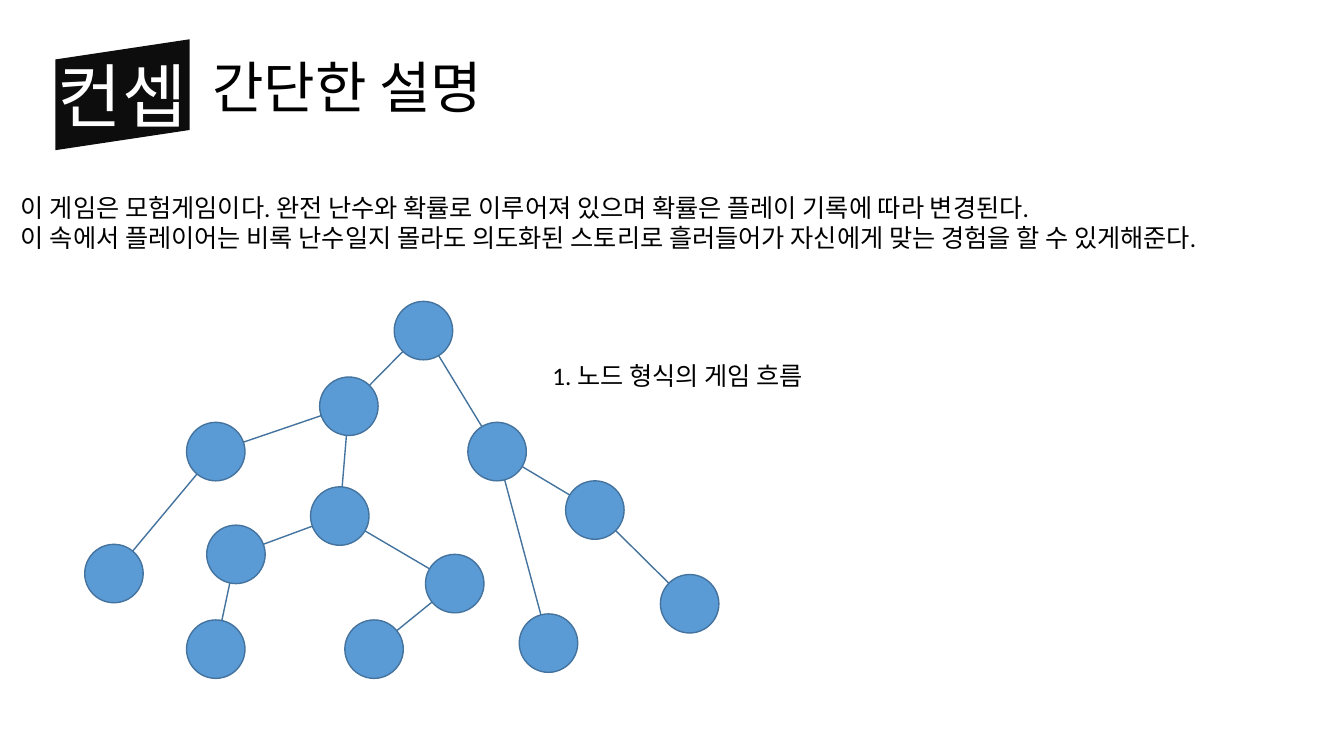
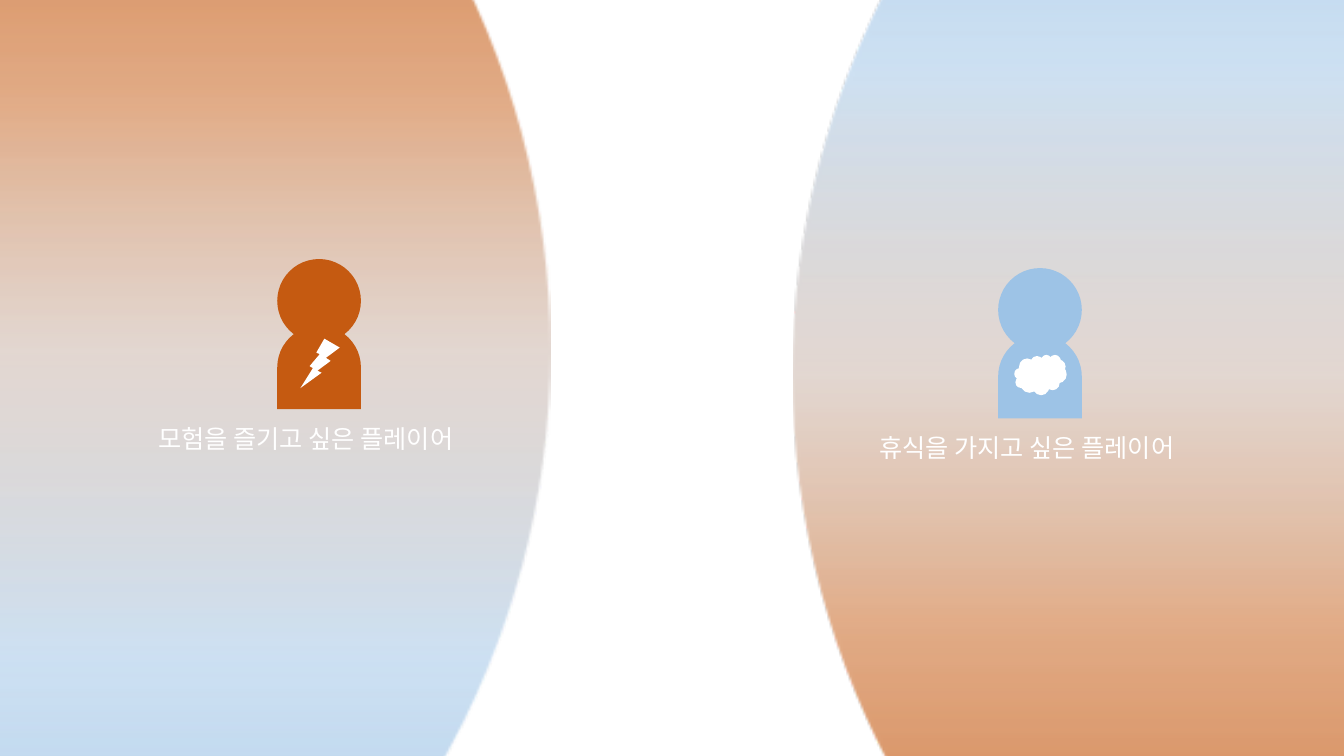
from lxml import etree
from pptx import Presentation
from pptx.dml.color import RGBColor
from pptx.enum.shapes import MSO_CONNECTOR as LINK, MSO_SHAPE as SHAPE
from pptx.enum.text import MSO_ANCHOR as ANCHOR, MSO_AUTO_SIZE as FIT, PP_ALIGN as ALIGN
from pptx.oxml.ns import qn
from pptx.util import Inches, Pt

WHITE, BLACK, INK = "FFFFFF", "000000", "0D0D0D"
NODE, NODE_LINE = "5B9BD5", "43739E"
WARM, COOL, BLEND = "C55A11", "9DC3E6", "B0907E"
LATIN, KOREAN = "Calibri", "Noto Sans CJK KR"
# Position %, colour, opacity %
SKY = [(0, WARM, 100), (35, WARM, 50), (50, BLEND, 35), (68, COOL, 50), (100, COOL, 100)]


def rgb(value):
    return RGBColor.from_string(value)


class Deck:
    """Holds the presentation, its style and the current slide."""

    def __init__(self):
        self.prs = Presentation()
        self.prs.slide_width, self.prs.slide_height = Inches(13.33), Inches(7.5)

    def new_slide(self):
        self.slide = self.prs.slides.add_slide(self.prs.slide_layouts[6])

    def paint(self, shape, fill, line=None):
        shape.shadow.inherit = False
        shape.fill.solid()
        shape.fill.fore_color.rgb = rgb(fill)
        if line:
            shape.line.color.rgb = rgb(line)
            shape.line.width = Pt(1)
        else:
            shape.line.fill.background()
        return shape

    def shape(self, kind, left, top, width, height, fill, line=None, flip=None, parent=None):
        shapes = (parent or self.slide).shapes
        shape = shapes.add_shape(kind, Inches(left), Inches(top), Inches(width), Inches(height))
        if flip:
            shape.element.spPr.find(qn("a:xfrm")).set(flip, "1")
        return self.paint(shape, fill, line)

    def styled_run(self, paragraph, text, size, color, latin=LATIN):
        run = paragraph.add_run()
        run.text = text
        run.font.size = Pt(size)
        run.font.name = latin
        run.font.color.rgb = rgb(color)
        etree.SubElement(run.font._element, qn("a:ea"), typeface=KOREAN)

    def text(self, left, top, width, height, lines, size=18, color=BLACK):
        box = self.slide.shapes.add_textbox(Inches(left), Inches(top), Inches(width), Inches(height))
        frame = box.text_frame
        frame.word_wrap = False
        frame.auto_size = FIT.SHAPE_TO_FIT_TEXT
        for i, line in enumerate(lines):
            paragraph = frame.add_paragraph() if i else frame.paragraphs[0]
            self.styled_run(paragraph, line, size, color)

    def badge(self, text):
        corners = [(0.55, 0.59), (1.88, 0.39), (1.88, 1.29), (0.55, 1.49)]
        points = [(Inches(x), Inches(y)) for x, y in corners]
        builder = self.slide.shapes.build_freeform(*points[0])
        builder.add_line_segments(points[1:])
        badge = self.paint(builder.convert_to_shape(), INK)
        frame = badge.text_frame
        frame.word_wrap = False
        frame.vertical_anchor = ANCHOR.MIDDLE
        frame.margin_left = frame.margin_right = frame.margin_top = frame.margin_bottom = 0
        frame.paragraphs[0].alignment = ALIGN.CENTER
        self.styled_run(frame.paragraphs[0], text, 50, WHITE, KOREAN)

    def title(self, label, heading):
        self.badge(label)
        self.text(2.01, 0.47, 3.13, 0.77, [heading], 40)

    def edge(self, start, end):
        points = [Inches(v) for v in (*start, *end)]
        edge = self.slide.shapes.add_connector(LINK.STRAIGHT, *points)
        edge.line.color.rgb = rgb(NODE_LINE)
        edge.line.width = Pt(1)
        etree.SubElement(edge._element.spPr, qn("a:effectLst"))

    def tree(self, centers, edges, size=0.58):
        for start, end in edges:
            self.edge(centers[start], centers[end])
        for x, y in centers.values():
            self.shape(SHAPE.OVAL, x - size / 2, y - size / 2, size, size, NODE, NODE_LINE)

    def world(self, left, top, flip=None, size=16.57):
        world = self.shape(SHAPE.OVAL, left, top, size, size, WHITE, flip=flip)
        props = world.element.spPr
        gradient = etree.Element(qn("a:gradFill"), rotWithShape="1")
        stops = etree.SubElement(gradient, qn("a:gsLst"))
        for position, color, opacity in SKY:
            stop = etree.SubElement(stops, qn("a:gs"), pos=str(position * 1000))
            tone = etree.SubElement(stop, qn("a:srgbClr"), val=color)
            if opacity < 100:
                etree.SubElement(tone, qn("a:alpha"), val=str(opacity * 1000))
        etree.SubElement(gradient, qn("a:lin"), ang="5400000", scaled="0")
        props.replace(props.find(qn("a:solidFill")), gradient)

    def player(self, left, top, color, caption, size=0.83):
        person = self.slide.shapes.add_group_shape()
        self.shape(SHAPE.OVAL, left, top, size, size, color, parent=person)
        body = self.shape(SHAPE.FLOWCHART_DELAY, left, top + 0.66, size, size, color, parent=person)
        body.rotation = 270
        self.text(left - 1.28, top + 1.58, 3.4, 0.4, [caption], color=WHITE)


def concept_slide(deck):
    deck.new_slide()
    deck.title("컨셉", "간단한 설명")

    # Game flow as a tree of nodes
    centers = {
        "root": (4.2, 3.28), "left": (3.46, 4.03), "right": (4.93, 4.48),
        "far right": (5.9, 5.06), "middle": (3.37, 5.12), "right end": (5.44, 6.38),
        "far left end": (1.13, 5.69), "far left": (2.14, 4.48),
        "middle left": (2.34, 5.5), "middle left end": (2.14, 6.44),
        "far right end": (6.84, 5.99), "middle right": (4.51, 5.79),
        "middle right end": (3.71, 6.44),
    }
    edges = [
        ("root", "right"), ("right", "far right"), ("far right", "far right end"),
        ("root", "left"), ("left", "far left"), ("far left", "far left end"),
        ("left", "middle"), ("middle", "middle right"), ("right", "right end"),
        ("middle right", "middle right end"), ("middle", "middle left"),
        ("middle left", "middle left end"),
    ]
    deck.tree(centers, edges)

    # Explanations
    deck.text(5.38, 3.53, 2.9, 0.4, ["1. 노드 형식의 게임 흐름"])
    deck.text(0.11, 1.86, 12.88, 0.71, [
        "이 게임은 모험게임이다. 완전 난수와 확률로 이루어져 있으며 확률은 플레이 기록에 따라 변경된다.",
        "이 속에서 플레이어는 비록 난수일지 몰라도 의도화된 스토리로 흘러들어가 자신에게 맞는 경험을 할 수 있게해준다.",
    ])


def players_slide(deck):
    deck.new_slide()

    # Two opposite worlds
    deck.world(7.87, -4.57, flip="flipV")
    deck.world(-11.11, -4.8)

    # Adventurous player
    deck.player(2.75, 2.57, WARM, "모험을 즐기고 싶은 플레이어")
    deck.shape(SHAPE.LIGHTNING_BOLT, 2.98, 3.36, 0.39, 0.49, WHITE, flip="flipH")

    # Resting player
    deck.player(9.9, 2.66, COOL, "휴식을 가지고 싶은 플레이어")
    deck.shape(SHAPE.CLOUD, 10.06, 3.52, 0.52, 0.4, WHITE)


def main():
    deck = Deck()
    concept_slide(deck)
    players_slide(deck)
    deck.prs.save("out.pptx")


if __name__ == "__main__":
    main()
